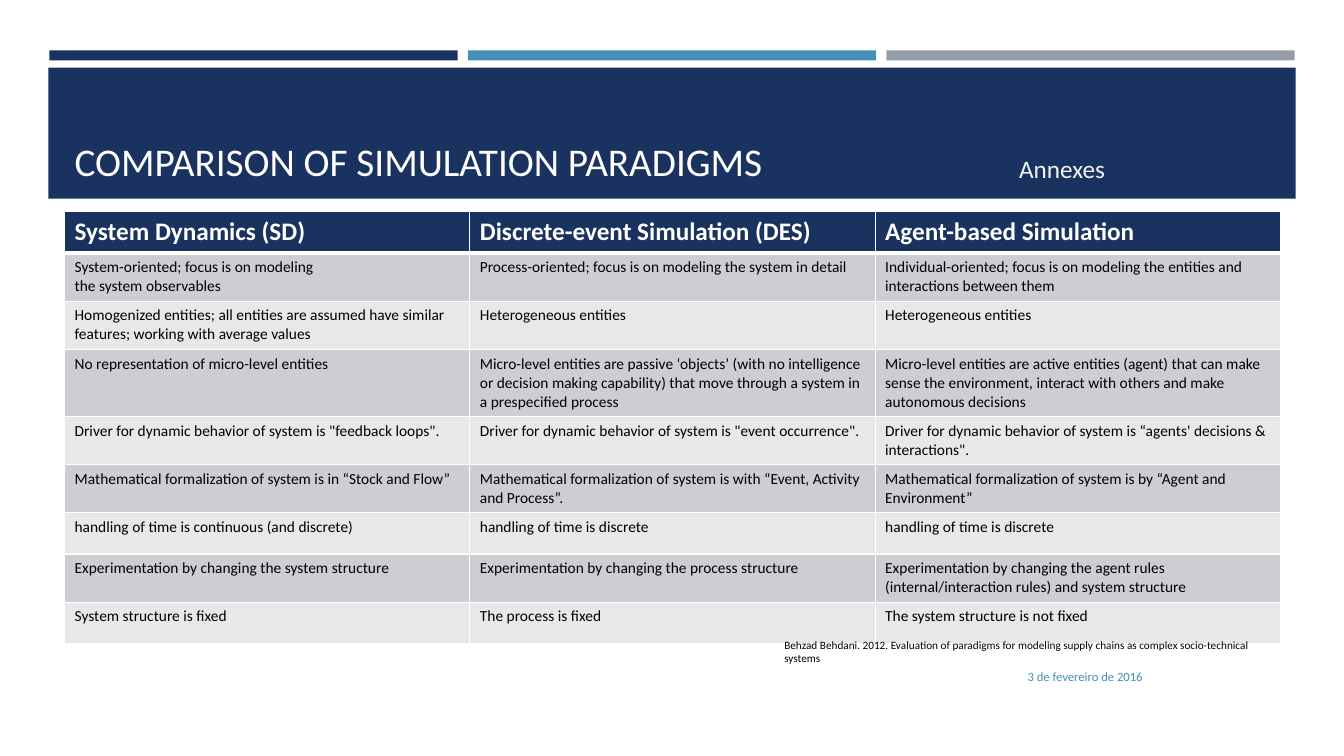
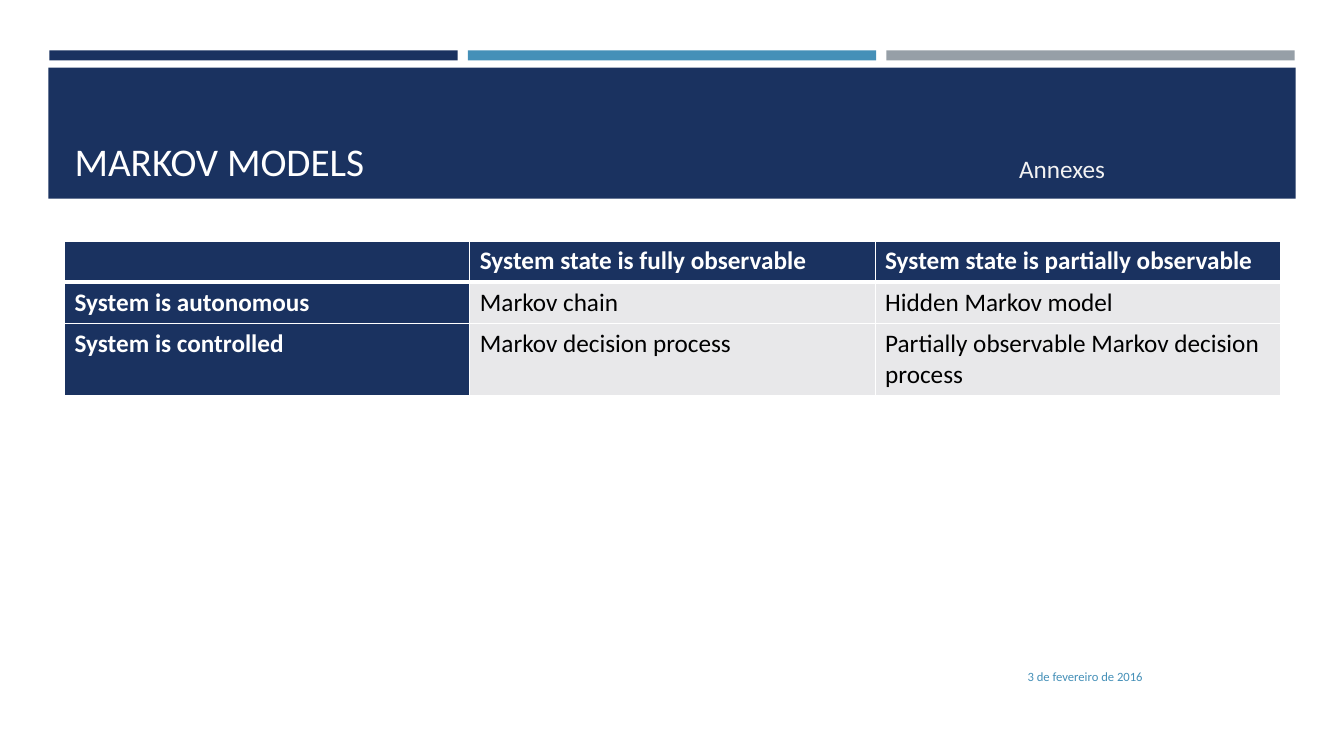
from pptx import Presentation
from pptx.dml.color import RGBColor
from pptx.enum.shapes import MSO_SHAPE
from pptx.enum.text import MSO_ANCHOR, MSO_AUTO_SIZE, PP_ALIGN
from pptx.util import Pt
from lxml import etree

PX = 9144
NAVY = RGBColor(0x1A, 0x32, 0x60)
BLUE = RGBColor(0x45, 0x90, 0xB8)
GREY = RGBColor(0x96, 0x9F, 0xA7)
WHITE = RGBColor(0xFF, 0xFF, 0xFF)
OFF_WHITE = RGBColor(0xF2, 0xF2, 0xF2)
BLACK = RGBColor(0x00, 0x00, 0x00)
ROW_DARK = RGBColor(0xCD, 0xCE, 0xD2)
ROW_LIGHT = RGBColor(0xE8, 0xE8, 0xEA)
FONT = "Calibri"
NS = "http://schemas.openxmlformats.org/drawingml/2006/main"

PARADIGMS = [
    ["System Dynamics (SD)", "Discrete-event Simulation (DES)", "Agent-based Simulation"],
    ["System-oriented; focus is on modeling\nthe system observables",
     "Process-oriented; focus is on modeling the system in detail",
     "Individual-oriented; focus is on modeling the entities and interactions between them"],
    ["Homogenized entities; all entities are assumed have similar features; working with average values",
     "Heterogeneous entities", "Heterogeneous entities"],
    ["No representation of micro-level entities",
     "Micro-level entities are passive ‘objects’ (with no intelligence or decision making capability) "
     "that move through a system in a prespecified process",
     "Micro-level entities are active entities (agent) that can make sense the environment, "
     "interact with others and make autonomous decisions"],
    ['Driver for dynamic behavior of system is "feedback loops".',
     'Driver for dynamic behavior of system is "event occurrence".',
     'Driver for dynamic behavior of system is “agents\' decisions & interactions".'],
    ["Mathematical formalization of system is in “Stock and Flow”",
     "Mathematical formalization of system is with “Event, Activity and Process”.",
     "Mathematical formalization of system is by “Agent and Environment”"],
    ["handling of time is continuous (and discrete)",
     "handling of time is discrete", "handling of time is discrete"],
    ["Experimentation by changing the system structure",
     "Experimentation by changing the process structure",
     "Experimentation by changing the agent rules (internal/interaction rules) and system structure"],
    ["System structure is fixed", "The process is fixed", "The system structure is not fixed"],
]
MARKOV = [
    ["", "System state is fully observable", "System state is partially observable"],
    ["System is autonomous", "Markov chain", "Hidden Markov model"],
    ["System is controlled", "Markov decision process", "Partially observable Markov decision process"],
]
CITATION = ("Behzad Behdani. 2012. Evaluation of paradigms for modeling supply chains "
            "as complex socio-technical systems")
DATE = "3 de fevereiro de 2016"


def write(tf, text, size, color, bold=False, align=PP_ALIGN.LEFT):
    tf.text = text
    for p in tf.paragraphs:
        p.alignment = align
        for r in p.runs:
            r.font.name = FONT
            r.font.size = Pt(size)
            r.font.bold = bold
            r.font.color.rgb = color


def add_border(cell, side, width):
    ln = etree.SubElement(cell._tc.get_or_add_tcPr(), f"{{{NS}}}ln{side}", w=str(Pt(width)))
    fill = etree.SubElement(ln, f"{{{NS}}}solidFill")
    etree.SubElement(fill, f"{{{NS}}}srgbClr", val=str(WHITE))


prs = Presentation()
prs.slide_width = 1333 * PX
prs.slide_height = 750 * PX
layout = prs.slide_layouts[5]
slides = [prs.slides.add_slide(layout) for _ in range(2)]

bands = [(49 + 415 * i, 50, 405, 10, color) for i, color in enumerate([NAVY, BLUE, GREY])]
bands.append((48, 67, 1237, 130, NAVY))
for i, (x, y, w, h, color) in enumerate(bands):
    band = slides[0].shapes.add_shape(MSO_SHAPE.RECTANGLE, x * PX, y * PX, w * PX, h * PX)
    band.shadow.inherit = False
    band.fill.solid()
    band.fill.fore_color.rgb = color
    band.line.fill.background()
    band.element.nvSpPr.cNvPr.set("id", str(20 + i))
    layout.shapes.element.insert(2 + i, band.element)

decks = [
    ("COMPARISON OF SIMULATION PARADIGMS", PARADIGMS, 210, 11, [ROW_DARK, ROW_LIGHT], False, CITATION),
    ("MARKOV MODELS", MARKOV, 239, 18, [ROW_LIGHT], True, None),
]
for s, (title, rows, top, size, fills, row_heads, citation) in zip(slides, decks):
    sp = s.shapes.title
    sp.left, sp.top, sp.width, sp.height = 64 * PX, 77 * PX, 1206 * PX, 111 * PX
    tf = sp.text_frame
    tf.auto_size = MSO_AUTO_SIZE.NONE
    tf.vertical_anchor = MSO_ANCHOR.BOTTOM
    write(tf, title, 28, WHITE)

    frame = s.shapes.add_table(len(rows), 3, 64 * PX, top * PX, 1206 * PX, 41 * len(rows) * PX)
    table = frame.table
    table.first_col = row_heads
    for i, row in enumerate(rows):
        for j, text in enumerate(row):
            cell = table.cell(i, j)
            head = i == 0 or (row_heads and j == 0)
            widths = {"L": 1, "R": 1, "T": 3 if i == 1 else 1, "B": 3 if i == 0 else 1}
            for side, width in widths.items():
                add_border(cell, side, width)
            cell.fill.solid()
            cell.fill.fore_color.rgb = NAVY if head else fills[(i - 1) % len(fills)]
            write(cell.text_frame, text, 18 if head else size, WHITE if head else BLACK, head)

    notes = [
        (832, 651, 311, 40, DATE, 9, BLUE, PP_ALIGN.RIGHT, MSO_ANCHOR.MIDDLE),
        (1001, 147, 108, 40, "Annexes", 18, OFF_WHITE, PP_ALIGN.LEFT, MSO_ANCHOR.TOP),
    ]
    if citation:
        notes.append((768, 628, 519, 24, citation, 8, BLACK, PP_ALIGN.LEFT, MSO_ANCHOR.TOP))
    for x, y, w, h, text, pt, color, align, anchor in notes:
        tf = s.shapes.add_textbox(x * PX, y * PX, w * PX, h * PX).text_frame
        tf.word_wrap = True
        tf.vertical_anchor = anchor
        write(tf, text, pt, color, align=align)

prs.save("out.pptx")
